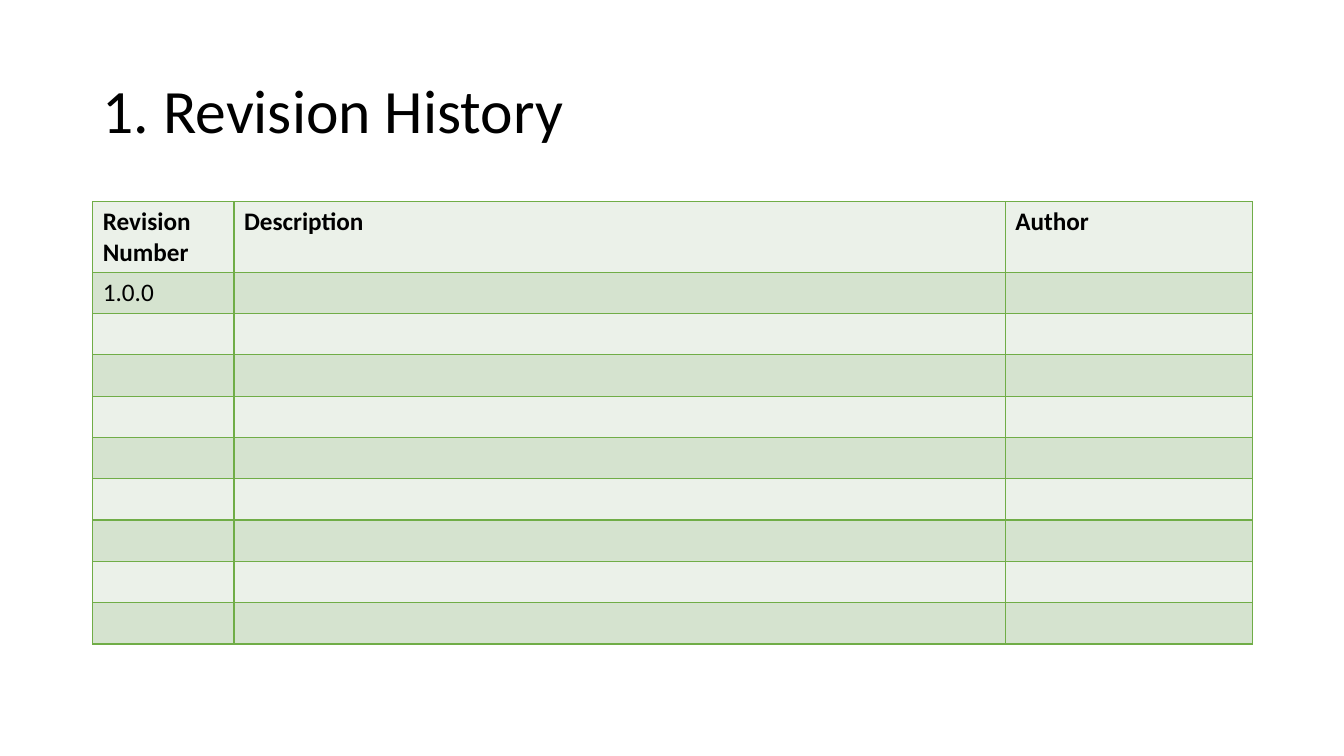
import pptx
import pptx.util
import pptx.dml.color
import pptx.enum.text
import pptx.oxml
import pptx.oxml.ns

inch = pptx.util.Inches
anchor = pptx.enum.text.MSO_ANCHOR


def color(code):
    return pptx.dml.color.RGBColor.from_string(code)


def write(frame, text, size=18, bold=False, space=1.0):
    frame.word_wrap = True
    para = frame.paragraphs[0]
    para.line_spacing = space
    run = para.add_run()
    run.text = text
    run.font.name = "Calibri"
    run.font.size = pptx.util.Pt(size)
    run.font.bold = bold
    run.font.color.rgb = color("000000")


deck = pptx.Presentation()
deck.slide_width, deck.slide_height = inch(13.33), inch(7.5)
slide = deck.slides.add_slide(deck.slide_layouts[6])

# Grid
left, width = 0.92, 11.5
cols = [1.4, 7.65, 2.45]
rows = [0.7] + [0.41] * 9

# Title
title = slide.shapes.add_textbox(inch(left), inch(0.4), inch(width), inch(1.45))
title.text_frame.vertical_anchor = anchor.MIDDLE
write(title.text_frame, "1. Revision History", size=44, space=0.9)

# Table
table = slide.shapes.add_table(
    len(rows), len(cols), inch(left), inch(2), inch(width), inch(sum(rows))
).table
for col, wide in zip(table.columns, cols):
    col.width = inch(wide)
for row, high in zip(table.rows, rows):
    row.height = inch(high)

# Borders and banded fills
for r, row in enumerate(table.rows):
    for cell in row.cells:
        props = cell._tc.get_or_add_tcPr()
        for side in "LRTB":
            props.append(pptx.oxml.parse_xml(
                f'<a:ln{side} {pptx.oxml.ns.nsdecls("a")} w="{pptx.util.Pt(1)}">'
                f'<a:solidFill><a:srgbClr val="70AD47"/></a:solidFill></a:ln{side}>'
            ))
        cell.fill.solid()
        cell.fill.fore_color.rgb = color("D5E3CF" if r % 2 else "EBF1E9")

# Cell text
for c, head in enumerate(["Revision Number", "Description", "Author"]):
    write(table.cell(0, c).text_frame, head, bold=True)
write(table.cell(1, 0).text_frame, "1.0.0")

deck.save("out.pptx")
